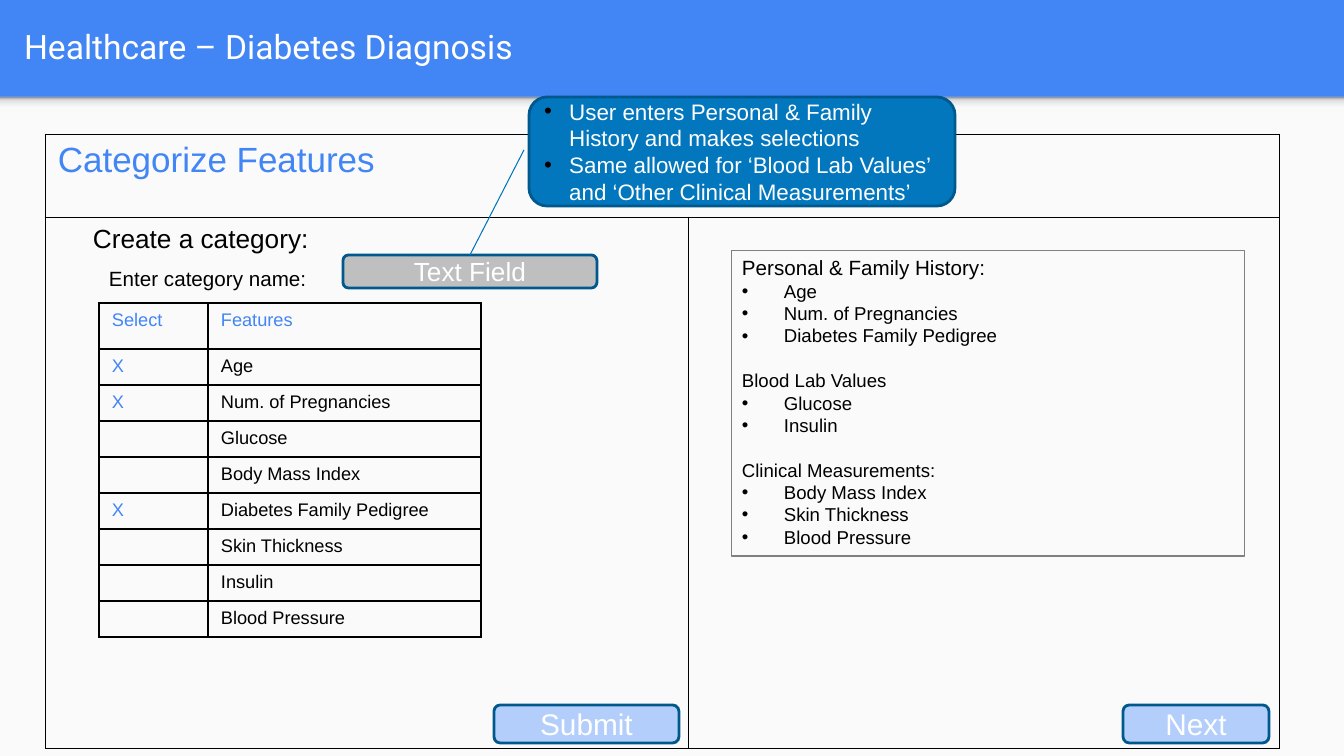
from dataclasses import dataclass

from lxml import etree
from pptx import Presentation
from pptx.dml.color import RGBColor
from pptx.enum.shapes import MSO_CONNECTOR, MSO_SHAPE as Shp
from pptx.enum.text import MSO_ANCHOR as Anchor, MSO_AUTO_SIZE, PP_ALIGN as Align
from pptx.oxml.ns import qn
from pptx.util import Emu, Pt

BLUE = RGBColor(0x42, 0x85, 0xF4)
PALE_BLUE = RGBColor(0xB3, 0xCE, 0xFB)
CALLOUT_BLUE = RGBColor(0x02, 0x77, 0xBD)
LINK_BLUE = RGBColor(0x00, 0x75, 0xBB)
EDGE = RGBColor(0x01, 0x58, 0x8C)
PANEL = RGBColor(0xFA, 0xFA, 0xFA)
SILVER = RGBColor(0xBF, 0xBF, 0xBF)
GRAY = RGBColor(0x80, 0x80, 0x80)
WHITE = RGBColor(0xFF, 0xFF, 0xFF)
BLACK = RGBColor(0, 0, 0)


def px(n: int) -> Emu:
    return Emu(round(n * 914400 / 100.8))


@dataclass
class Box:
    x: int
    y: int
    w: int
    h: int

    def emu(self) -> tuple:
        return px(self.x), px(self.y), px(self.w), px(self.h)


@dataclass
class Button:
    text: str
    box: Box
    size: float
    fill: RGBColor


@dataclass
class Label:
    text: str
    box: Box
    size: float


def add_run(p, text: str, size: float, color: RGBColor, font: str = "Arial") -> None:
    r = p.add_run()
    r.text = text
    r.font.size, r.font.name = Pt(size), font
    r.font.color.rgb = color


def add_bullet(p, indent: int) -> None:
    pPr = p._p.get_or_add_pPr()
    pPr.set("marL", str(px(indent)))
    pPr.set("indent", str(-px(indent)))
    color = etree.SubElement(pPr, qn("a:buClr"))
    etree.SubElement(color, qn("a:srgbClr"), val=str(BLACK))
    etree.SubElement(pPr, qn("a:buFont"), typeface="Arial")
    etree.SubElement(pPr, qn("a:buChar"), char="•")


def add_box(s, kind, box: Box, fill=None, line=None, width: float = 2):
    sp = s.shapes.add_shape(kind, *box.emu())
    sp.shadow.inherit = False
    if fill is None:
        sp.fill.background()
    else:
        sp.fill.solid()
        sp.fill.fore_color.rgb = fill
    if line is None:
        sp.line.fill.background()
    else:
        sp.line.color.rgb, sp.line.width = line, Pt(width)
    sp.text_frame.word_wrap = True
    return sp


def add_button(s, b: Button) -> None:
    sp = add_box(s, Shp.ROUNDED_RECTANGLE, b.box, b.fill, EDGE)
    sp.text_frame.vertical_anchor = Anchor.MIDDLE
    p = sp.text_frame.paragraphs[0]
    p.alignment = Align.CENTER
    add_run(p, b.text, b.size, WHITE)


def add_label(s, label: Label) -> None:
    tf = s.shapes.add_textbox(*label.box.emu()).text_frame
    tf.word_wrap = True
    add_run(tf.paragraphs[0], label.text, label.size, BLACK)


def add_grid(s, x: int, y: int, cols: list, rows: list, width: float):
    box = Box(x, y, sum(cols), sum(rows))
    tbl = s.shapes.add_table(len(rows), len(cols), *box.emu()).table
    tbl.first_row = tbl.horz_banding = False
    for col, w in zip(tbl.columns, cols):
        col.width = px(w)
    for row, h in zip(tbl.rows, rows):
        row.height = px(h)
    for cell in tbl.iter_cells():
        cell.margin_left = cell.margin_right = px(13)
        cell.margin_top = cell.margin_bottom = px(7)
        tcPr = cell._tc.get_or_add_tcPr()
        for side in ("lnL", "lnR", "lnT", "lnB"):
            ln = etree.SubElement(tcPr, qn(f"a:{side}"), w=str(Pt(width)))
            solid = etree.SubElement(ln, qn("a:solidFill"))
            etree.SubElement(solid, qn("a:srgbClr"), val=str(BLACK))
        cell.fill.background()
    return tbl


prs = Presentation()
prs.slide_width, prs.slide_height = px(1344), px(756)
s = prs.slides.add_slide(prs.slide_layouts[5])
s.background.fill.solid()
s.background.fill.fore_color.rgb = BLUE

# Page panel and the shade under the header
add_box(s, Shp.RECTANGLE, Box(0, 97, 1344, 659), PANEL)
shade = add_box(s, Shp.RECTANGLE, Box(0, 97, 1344, 16))
shade.fill.gradient()
shade.fill.gradient_angle = 90
stops = next(shade._element.iter(qn("a:gsLst")))
for stop in list(stops):
    stops.remove(stop)
for pos, tone in ((0, "F9F9F9"), (36, "F9F9F9"), (80, "DEDEDE"), (100, "999999")):
    stop = etree.SubElement(stops, qn("a:gs"), pos=str(pos * 1000))
    etree.SubElement(stop, qn("a:srgbClr"), val=tone)

# Title
title = s.shapes.title
title.left, title.top, title.width, title.height = Box(14, 2, 1297, 89).emu()
tf = title.text_frame
tf.auto_size, tf.word_wrap = MSO_AUTO_SIZE.NONE, True
tf.vertical_anchor = Anchor.MIDDLE
tf.margin_left = tf.margin_right = tf.margin_top = tf.margin_bottom = px(10)
tf.paragraphs[0].alignment = Align.LEFT
add_run(tf.paragraphs[0], "Healthcare – Diabetes Diagnosis", 24, WHITE, "Roboto")

# Frame of the form
frame = add_grid(s, 45, 134, [643, 592], [83, 531], 0.75)
frame.cell(0, 0).merge(frame.cell(0, 1))
add_run(frame.cell(0, 0).text_frame.paragraphs[0], "Categorize Features", 25, BLUE)

# Labels, text field and buttons
for label in (
    Label("Create a category:", Box(83, 217, 423, 42), 18.7),
    Label("Enter category name:", Box(99, 261, 228, 35), 14.7),
):
    add_label(s, label)
for button in (
    Button("Text Field", Box(343, 255, 254, 33), 18.7, SILVER),
    Button("Submit", Box(494, 705, 185, 38), 21.3, PALE_BLUE),
    Button("Next", Box(1123, 705, 146, 38), 21.3, PALE_BLUE),
):
    add_button(s, button)

# Feature selection table
FEATURES = ["Age", "Num. of Pregnancies", "Glucose", "Body Mass Index",
            "Diabetes Family Pedigree", "Skin Thickness", "Insulin", "Blood Pressure"]
SELECTED = {"Age", "Num. of Pregnancies", "Diabetes Family Pedigree"}
grid = add_grid(s, 99, 303, [109, 273], [46] + [36] * len(FEATURES), 1)
entries = [("Select", "Features", BLUE)]
entries += [("X" if name in SELECTED else "", name, BLACK) for name in FEATURES]
for i, (mark, name, color) in enumerate(entries):
    for j, (text, tone) in enumerate(((mark, BLUE), (name, color))):
        p = grid.cell(i, j).text_frame.paragraphs[0]
        if text:
            add_run(p, text, 13, tone)
        else:
            etree.SubElement(p._p, qn("a:endParaRPr"), sz="1300")

# Resulting categories
CATEGORIES = [
    ("Personal & Family History:", 14.7, ["Age", "Num. of Pregnancies", "Diabetes Family Pedigree"]),
    ("Blood Lab Values", 13.3, ["Glucose", "Insulin"]),
    ("Clinical Measurements:", 13.3, ["Body Mass Index", "Skin Thickness", "Blood Pressure"]),
]
tf = add_box(s, Shp.RECTANGLE, Box(732, 250, 513, 306), None, GRAY, 0.75).text_frame
tf.vertical_anchor = Anchor.TOP
for i, (heading, size, names) in enumerate(CATEGORIES):
    p = tf.add_paragraph() if i else tf.paragraphs[0]
    p.alignment = Align.LEFT
    p.space_before = Pt(16 if i else 0)
    add_run(p, heading, size, BLACK)
    for name in names:
        p = tf.add_paragraph()
        p.alignment = Align.LEFT
        add_bullet(p, 42)
        add_run(p, name, 13.3, BLACK)

# Callout with its pointer to the text field
NOTES = ["User enters Personal & Family History and makes selections",
         "Same allowed for ‘Blood Lab Values’ and ‘Other Clinical Measurements’"]
tf = add_box(s, Shp.ROUNDED_RECTANGLE, Box(529, 97, 426, 109), CALLOUT_BLUE, EDGE).text_frame
tf.vertical_anchor = Anchor.MIDDLE
for i, note in enumerate(NOTES):
    p = tf.add_paragraph() if i else tf.paragraphs[0]
    p.alignment = Align.LEFT
    add_bullet(p, 25)
    add_run(p, note, 16, WHITE)
pointer = s.shapes.add_connector(MSO_CONNECTOR.STRAIGHT, px(524), px(150), px(470), px(255))
pointer.line.color.rgb, pointer.line.width = LINK_BLUE, Pt(0.75)
etree.SubElement(pointer._element.spPr, qn("a:effectLst"))

prs.save("out.pptx")
